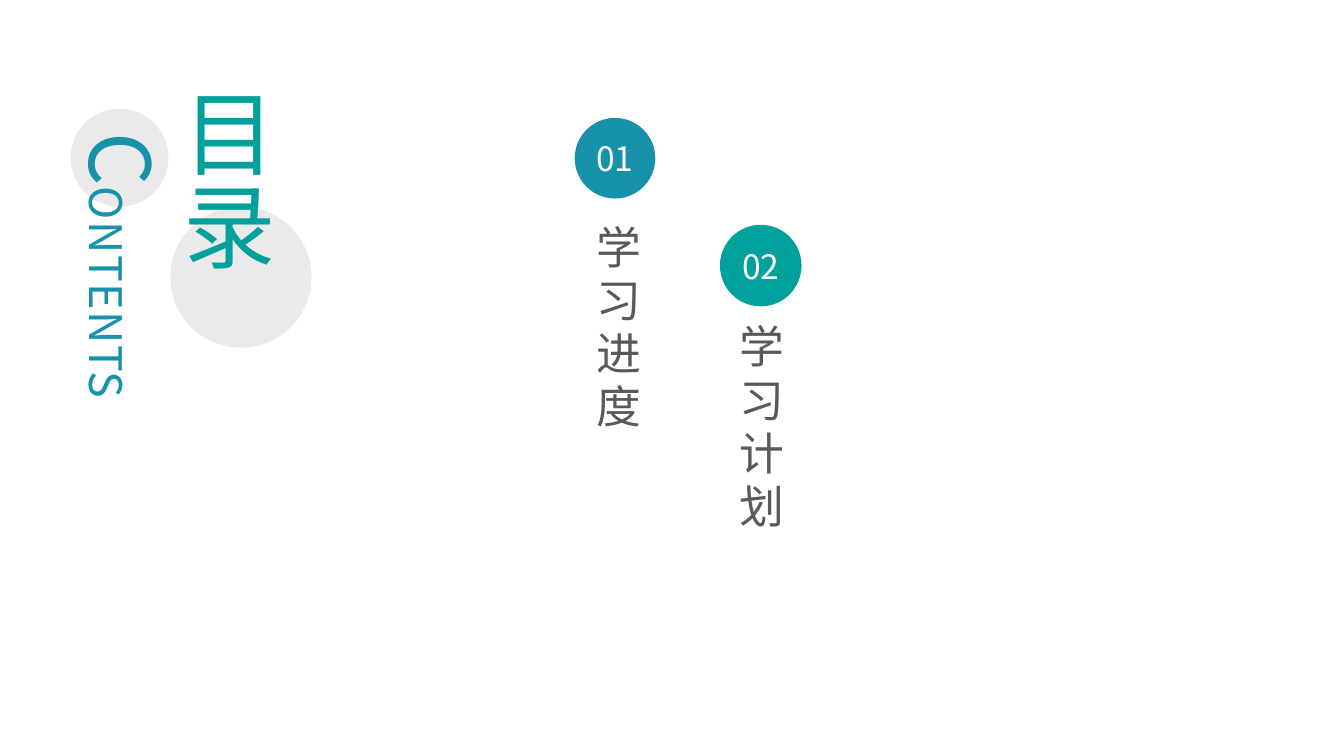
from lxml import etree
from pptx import Presentation
from pptx.dml.color import RGBColor
from pptx.enum.shapes import MSO_SHAPE
from pptx.enum.text import MSO_ANCHOR, PP_ALIGN
from pptx.oxml.ns import qn
from pptx.util import Inches, Pt

OVAL = MSO_SHAPE.OVAL
MIDDLE = MSO_ANCHOR.MIDDLE
CENTER = PP_ALIGN.CENTER
FONT = "Noto Sans CJK SC"
COLORS = {
    "blue": "1891AB",
    "teal": "00A09D",
    "pale": "EAEAEA",
    "text": "595959",
    "white": "FFFFFF",
}


def rgb(name):
    """Return the named colour."""
    return RGBColor.from_string(COLORS[name])


def style_paragraph(para, size, color, spacing=0):
    """Set the Latin and East Asian font, size, colour and letter spacing."""
    font = para.font
    font.name = FONT
    font.size = Pt(size)
    font.color.rgb = rgb(color)
    properties = para._p.pPr.find(qn("a:defRPr"))
    etree.SubElement(properties, qn("a:ea")).set("typeface", FONT)
    if spacing:
        properties.set("spc", str(spacing * 100))


def clear_margins(frame):
    """Remove all insets of a text frame."""
    frame.margin_left = frame.margin_top = 0
    frame.margin_right = frame.margin_bottom = 0


def add_circle(shapes, left, top, size, color):
    """Add a plain filled circle."""
    circle = shapes.add_shape(
        OVAL, Inches(left), Inches(top), Inches(size), Inches(size))
    circle.shadow.inherit = False
    circle.fill.solid()
    circle.fill.fore_color.rgb = rgb(color)
    circle.line.fill.background()
    return circle


def add_vertical_text(shapes, box, spans, color, spacing=0, inset=False, indent=0):
    """Add one vertical line of text made of (text, size) spans."""
    frame = shapes.add_textbox(*map(Inches, box)).text_frame
    frame.word_wrap = True
    frame.vertical_anchor = MIDDLE
    frame._txBody.bodyPr.set("vert", "eaVert")
    if not inset:
        clear_margins(frame)
    para = frame.paragraphs[0]
    style_paragraph(para, spans[0][1], color, spacing)
    if indent:
        para._p.pPr.set("marL", str(Inches(indent)))
        para._p.pPr.set("indent", "0")
    for text, size in spans:
        span = para.add_run()
        span.text = text
        if size != spans[0][1]:
            span.font.size = Pt(size)


def add_heading(page, left, top):
    """Add the two-language heading over its pale circles."""
    shapes = page.shapes
    add_circle(shapes, left + 1.04, top + 1.28, 1.4, "pale")
    add_circle(shapes, left + 0.05, top + 0.31, 0.97, "pale")
    add_vertical_text(shapes, (left, top + 0.54, 1.15, 5.42),
                      [("C", 60), ("ONTENTS", 32)], "blue", spacing=1)
    add_vertical_text(shapes, (left + 0.81, top, 1.57, 2.55),
                      [("目录", 66)], "teal", inset=True)


def add_entry(page, number, title, color, badge, box, indent):
    """Add a numbered badge with its vertical title as one group."""
    shapes = page.shapes.add_group_shape().shapes
    add_vertical_text(shapes, box, [(title, 32)], "text", spacing=6, indent=indent)
    frame = add_circle(shapes, *badge, color).text_frame
    clear_margins(frame)
    frame.vertical_anchor = MIDDLE
    para = frame.paragraphs[0]
    para.text = number
    para.alignment = CENTER
    style_paragraph(para, 24, "white")


def main():
    """Build the contents slide."""
    deck = Presentation()
    deck.slide_width = Inches(13.33)
    deck.slide_height = Inches(7.5)
    page = deck.slides.add_slide(deck.slide_layouts[6])
    add_heading(page, 0.65, 0.77)
    add_entry(page, "02", "学习计划", "teal",
              (7.14, 2.23, 0.81), (7.14, 2.85, 0.81, 2.89), 0.37)
    add_entry(page, "01", "学习进度", "blue",
              (5.7, 1.17, 0.8), (5.72, 2.23, 0.81, 3.33), 0)
    deck.save("out.pptx")


if __name__ == "__main__":
    main()
